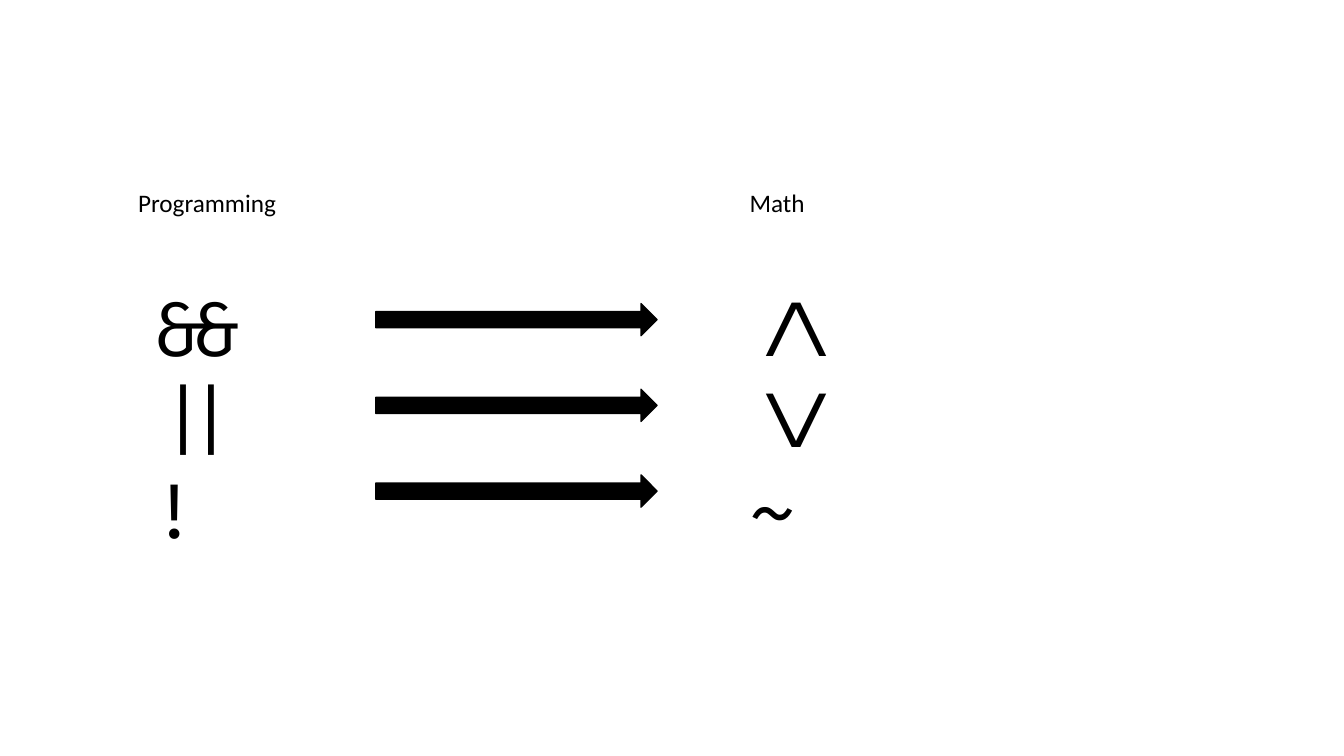
from pptx import Presentation
from pptx.dml.color import RGBColor
from pptx.enum.shapes import MSO_SHAPE
from pptx.enum.text import MSO_AUTO_SIZE
from pptx.util import Cm, Pt


def color(hex_code):
    return RGBColor.from_string(hex_code)


class SlideBuilder:
    ink = "000000"
    heading_font = "Calibri"
    code_font = "Fira Code"

    def __init__(self, slide):
        self.slide = slide

    def text(self, lines, left, top, width, height, font, size):
        box = self.slide.shapes.add_textbox(Cm(left), Cm(top), Cm(width), Cm(height))
        frame = box.text_frame
        frame.word_wrap = True
        frame.auto_size = MSO_AUTO_SIZE.SHAPE_TO_FIT_TEXT
        frame.text = "\n".join(lines)
        for paragraph in frame.paragraphs:
            paragraph.font.name = font
            paragraph.font.size = Pt(size)
            paragraph.font.color.rgb = color(self.ink)

    def heading(self, label, left):
        self.text([label], left, 4.6, 5.64, 1.02, self.heading_font, 18)

    def operators(self, symbols, left):
        self.text(symbols, left, 6.96, 3.84, 7.19, self.code_font, 54)

    def arrows(self, count, left, top, pitch):
        group = self.slide.shapes.add_group_shape()
        for row in range(count):
            arrow = group.shapes.add_shape(
                MSO_SHAPE.RIGHT_ARROW, Cm(left), Cm(top + row * pitch), Cm(7.09), Cm(0.81))
            arrow.shadow.inherit = False
            arrow.fill.solid()
            arrow.fill.fore_color.rgb = color(self.ink)
            arrow.line.color.rgb = color(self.ink)
            arrow.line.width = Pt(1)


def main():
    presentation = Presentation()
    presentation.slide_width = Cm(33.87)
    presentation.slide_height = Cm(19.05)
    builder = SlideBuilder(presentation.slides.add_slide(presentation.slide_layouts[6]))

    programming_operators = ["&&", "||", "!"]
    math_operators = ["/\\", "\\/", "~"]
    math_left = 18.64

    builder.operators(programming_operators, 3.56)
    builder.heading("Programming", 3.23)
    builder.heading("Math", math_left)
    builder.operators(math_operators, math_left)
    builder.arrows(len(math_operators), 9.47, 7.65, 2.16)

    presentation.save("out.pptx")


if __name__ == "__main__":
    main()
